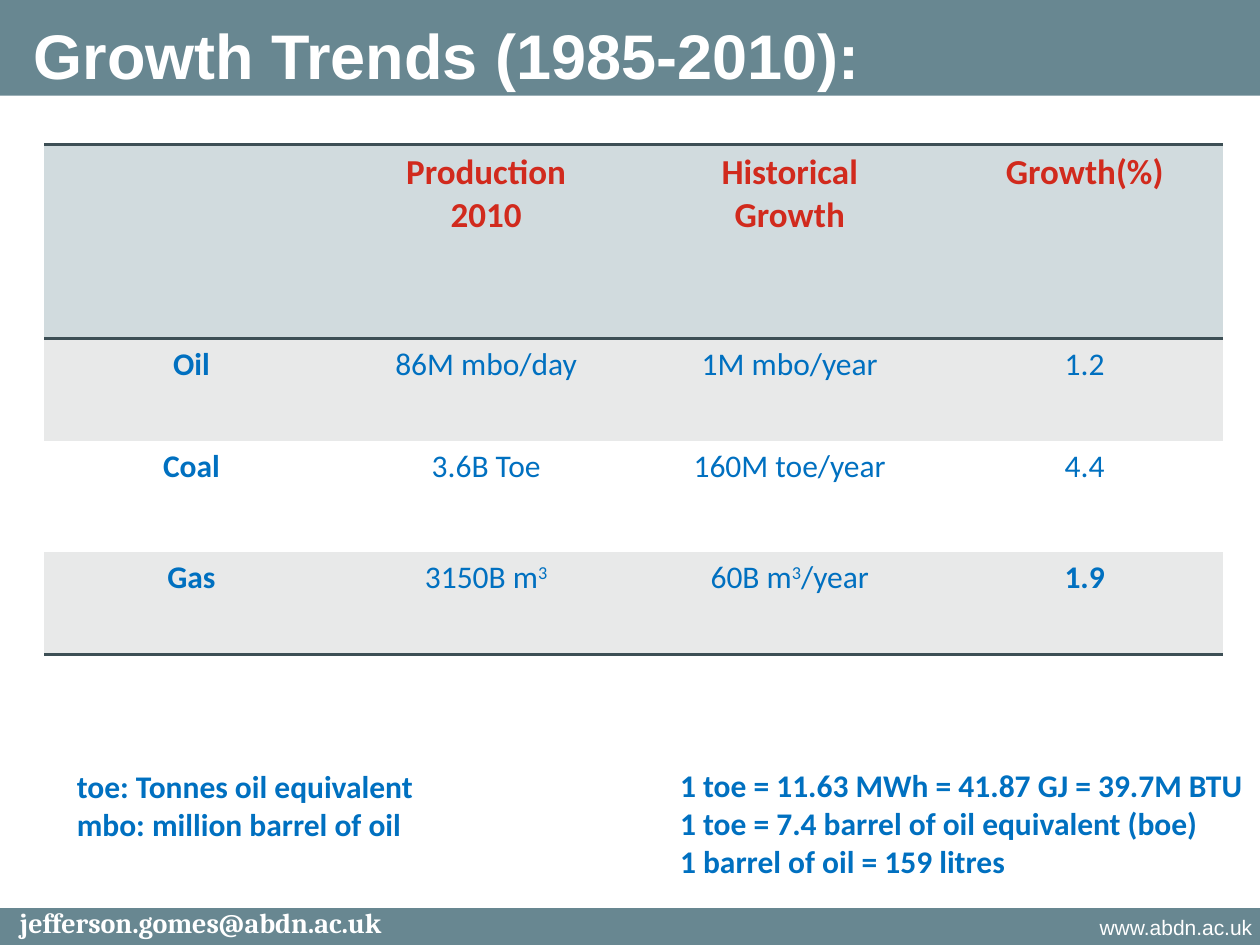
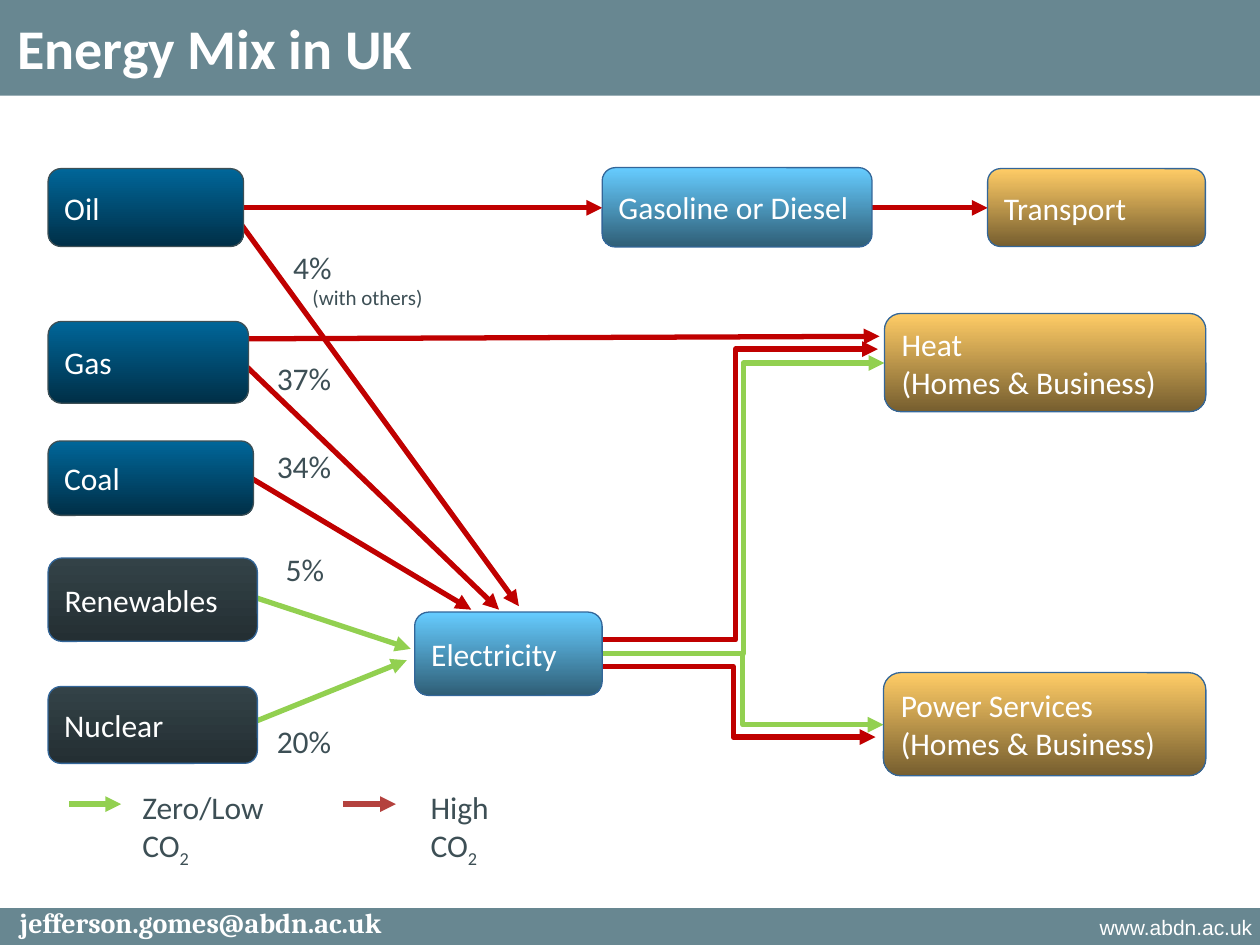
from dataclasses import dataclass
from typing import NamedTuple

from lxml import etree
from pptx import Presentation
from pptx import util as u
from pptx.dml.color import RGBColor
from pptx.enum import shapes, text
from pptx.oxml import ns
from pptx.slide import Slide

BAND, WHITE, SLATE, BLUE = "688791", "FFFFFF", "3D4F55", "0070C0"
HEAD, RED, GREY = "D1DBDE", "D12A1D", "E8E9E9"
HIGH, LOW, BRICK = "C00000", "92D050", "B4423E"
WIDE, TALL = 25.4, 19.05
LEFT, MID, RIGHT = text.PP_ALIGN.LEFT, text.PP_ALIGN.CENTER, text.PP_ALIGN.RIGHT


class Run(NamedTuple):
    words: str
    base: int = 0  # baseline shift in percent


class Area(NamedTuple):
    left: float
    top: float
    width: float
    height: float


class Look(NamedTuple):
    size: float
    ink: str
    face: str = "Calibri"
    bold: bool = False


class Tone(NamedTuple):
    top: str
    foot: str
    edge: str = "336699"


Line = str | list[Run]


@dataclass
class Label:
    lines: list[Line]
    area: Area
    look: Look
    side: text.PP_ALIGN = LEFT
    lead: float | None = None
    middle: bool = False


@dataclass
class Node:
    lines: list[Line]
    area: Area
    tone: Tone


@dataclass
class Flow:
    start: tuple[float, float]
    end: tuple[float, float]
    ink: str
    bent: bool = False


FUEL = Tone("006699", "002F47", SLATE)
CLEAN = Tone("334247", "242F33")
MADE = Tone("66CCFF", "2F5E76")
USE = Tone("FFCC66", "765E2F")
NOTE = Look(18, BLUE, bold=True)
BODY = Look(18, SLATE)


def rgb(code: str) -> RGBColor:
    return RGBColor.from_string(code)


def cm(area: Area) -> list[u.Length]:
    return [u.Cm(side) for side in area]


def write(frame, lines: list[Line], look: Look, side=LEFT, lead=None) -> None:
    """Fill a text frame, one paragraph for each line."""
    for i, line in enumerate(lines):
        para = frame.add_paragraph() if i else frame.paragraphs[0]
        para.alignment = side
        if lead:
            para.line_spacing = lead
        for part in [Run(line)] if isinstance(line, str) else line:
            run = para.add_run()
            run.text = part.words
            font = run.font
            font.size, font.name, font.bold = u.Pt(look.size), look.face, look.bold
            font.color.rgb = rgb(look.ink)
            if part.base:
                run._r.get_or_add_rPr().set("baseline", str(part.base * 1000))


def put(slide: Slide, label: Label) -> None:
    frame = slide.shapes.add_textbox(*cm(label.area)).text_frame
    frame.word_wrap = True
    if label.middle:
        frame.vertical_anchor = text.MSO_ANCHOR.MIDDLE
    write(frame, label.lines, label.look, label.side, label.lead)


def band(slide: Slide, area: Area) -> None:
    bar = slide.shapes.add_shape(shapes.MSO_SHAPE.RECTANGLE, *cm(area))
    bar.shadow.inherit = False
    bar.fill.solid()
    bar.fill.fore_color.rgb = rgb(BAND)
    bar.line.fill.background()


def node(slide: Slide, item: Node) -> None:
    box = slide.shapes.add_shape(shapes.MSO_SHAPE.ROUNDED_RECTANGLE, *cm(item.area))
    box.shadow.inherit = False
    box.fill.gradient()
    box.fill.gradient_angle = 270
    for stop, code in zip(box.fill.gradient_stops, item.tone):
        stop.color.rgb = rgb(code)
    box.line.color.rgb = rgb(item.tone.edge)
    box.line.width = u.Pt(0.75)
    box.text_frame.word_wrap = True
    box.text_frame.vertical_anchor = text.MSO_ANCHOR.MIDDLE
    write(box.text_frame, item.lines, Look(18, WHITE))


def arrow(slide: Slide, flow: Flow) -> None:
    kind = shapes.MSO_CONNECTOR.ELBOW if flow.bent else shapes.MSO_CONNECTOR.STRAIGHT
    link = slide.shapes.add_connector(kind, *map(u.Cm, flow.start + flow.end))
    link.line.color.rgb = rgb(flow.ink)
    link.line.width = u.Pt(3)
    props = link._element.spPr
    etree.SubElement(props.find(ns.qn("a:ln")), ns.qn("a:tailEnd"), type="triangle")
    etree.SubElement(props, ns.qn("a:effectLst"))


def rule(cell, sides: str) -> None:
    """Draw the named sides of a cell (T, B) and clear the others."""
    props = cell._tc.get_or_add_tcPr()
    for side in "LRTB":
        edge = etree.SubElement(props, ns.qn(f"a:ln{side}"))
        if side in sides:
            edge.set("w", str(u.Pt(2)))
            fill = etree.SubElement(edge, ns.qn("a:solidFill"))
            etree.SubElement(fill, ns.qn("a:srgbClr"), val=SLATE)
        else:
            etree.SubElement(edge, ns.qn("a:noFill"))


def base(deck, title: Label) -> Slide:
    """Add a slide with its bands, footers and title."""
    slide = deck.slides.add_slide(deck.slide_layouts[6])
    band(slide, Area(0, 18.31, WIDE, 0.74))
    band(slide, Area(0, 0, WIDE, 1.93))
    put(slide, Label(["www.abdn.ac.uk"], Area(18.9, 18.31, 6.6, 0.91),
                     Look(12, WHITE, "Arial"), RIGHT))
    put(slide, Label(["jefferson.gomes@abdn.ac.uk"], Area(0, 18.21, 8.1, 0.84),
                     Look(16, WHITE, "Cambria", True), MID, 0.9))
    put(slide, title)
    return slide


def trends(deck) -> None:
    slide = base(deck, Label(["Growth Trends (1985-2010):"], Area(0.43, 0.13, 19.3, 1.93),
                             Look(36, WHITE, "Arial", True), middle=True))
    cube = Run("3", 30)
    rows: list[list[list[Line]]] = [
        [[], ["Production", "2010"], ["Historical", "Growth"], ["Growth(%)"]],
        [["Oil"], ["86M mbo/day"], ["1M mbo/year"], ["1.2"]],
        [["Coal"], ["3.6B Toe"], ["160M toe/year"], ["4.4"]],
        [["Gas"], [[Run("3150B m"), cube]], [[Run("60B m"), cube, Run("/year")]], ["1.9"]],
    ]
    fills = [HEAD, GREY, WHITE, GREY]
    edges = ["TB", "T", "", "B"]
    wide = [5.94, 5.94, 6.3, 5.59]
    tall = [3.91, 2.06, 2.24, 2.06]
    area = Area(0.89, 2.92, sum(wide), sum(tall))
    grid = slide.shapes.add_table(len(rows), len(wide), *cm(area)).table
    grid.horz_banding = False
    for col, width in zip(grid.columns, wide):
        col.width = u.Cm(width)
    for r, row in enumerate(rows):
        grid.rows[r].height = u.Cm(tall[r])
        for c, lines in enumerate(row):
            cell = grid.cell(r, c)
            rule(cell, edges[r])
            cell.fill.solid()
            cell.fill.fore_color.rgb = rgb(fills[r])
            bold = c == 0 or lines == ["1.9"]
            look = Look(18, BLUE, bold=bold) if r else Look(20, RED, bold=True)
            write(cell.text_frame, lines, look, MID)
    put(slide, Label(["toe: Tonnes oil equivalent", "mbo: million barrel of oil"],
                     Area(1.3, 15.34, 7.39, 1.8), NOTE))
    put(slide, Label(["1 toe = 11.63 MWh = 41.87 GJ = 39.7M BTU",
                      "1 toe = 7.4 barrel of oil equivalent (boe)",
                      "1 barrel of oil = 159 litres"],
                     Area(13.46, 15.32, 11.99, 2.57), NOTE))


def energy(deck) -> None:
    slide = base(deck, Label(["Energy Mix in UK"], Area(0.1, 0.13, 8.56, 1.63),
                             Look(32, WHITE, bold=True), middle=True))
    flows = [
        Flow((12.14, 13.18), (17.81, 14.61), LOW, True),
        Flow((12.14, 13.18), (17.83, 7.32), LOW, True),
        Flow((1.4, 16.21), (2.44, 16.21), LOW),
        Flow((6.91, 16.21), (7.98, 16.21), BRICK),
        Flow((4.75, 4.37), (10.46, 12.22), HIGH),
        Flow((5, 6.83), (17.73, 6.78), HIGH),
        Flow((4.95, 7.37), (10.06, 12.29), HIGH),
        Flow((5.05, 9.63), (9.5, 12.29), HIGH),
        Flow((5.13, 12.04), (8.28, 13.08), LOW),
        Flow((5.18, 14.53), (8.2, 13.31), LOW),
        Flow((11.91, 13.44), (17.65, 14.86), HIGH, True),
        Flow((11.96, 12.9), (17.7, 7.04), HIGH, True),
        Flow((4.9, 4.19), (12.14, 4.19), HIGH),
        Flow((17.58, 4.19), (19.91, 4.19), HIGH),
    ]
    for flow in flows:
        arrow(slide, flow)

    shares = [("4%", 5.66, 4.88), ("37%", 5.33, 7.11), ("34%", 5.33, 8.89),
              ("5%", 5.51, 10.97), ("20%", 5.33, 14.43)]
    for share, left, top in shares:
        put(slide, Label([share], Area(left, top, 1.78, 1.02), BODY))
    put(slide, Label(["(with others)"], Area(6.05, 5.61, 2.84, 0.76), Look(12, SLATE)))
    for name, left, width in [("Zero/Low CO", 2.62, 3.61), ("High CO", 8.43, 2.59)]:
        put(slide, Label([[Run(name), Run("2", -25)]], Area(left, 15.77, width, 0.84), BODY))

    homes = "(Homes & Business)"
    nodes = [
        Node(["Oil"], Area(0.97, 3.4, 3.94, 1.57), FUEL),
        Node(["Gasoline or Diesel"], Area(12.14, 3.38, 5.44, 1.6), MADE),
        Node(["Transport"], Area(19.91, 3.4, 4.39, 1.57), USE),
        Node(["Gas"], Area(0.97, 6.48, 4.04, 1.65), FUEL),
        Node(["Coal"], Area(0.97, 8.89, 4.14, 1.5), FUEL),
        Node(["Renewables"], Area(0.97, 11.25, 4.22, 1.68), CLEAN),
        Node(["Nuclear"], Area(0.97, 13.84, 4.22, 1.55), CLEAN),
        Node(["Heat", homes], Area(17.83, 6.32, 6.48, 1.98), USE),
        Node(["Power Services", homes], Area(17.81, 13.56, 6.5, 2.08), USE),
        Node(["Electricity"], Area(8.36, 12.34, 3.78, 1.68), MADE),
    ]
    for item in nodes:
        node(slide, item)


def main() -> None:
    deck = Presentation()
    deck.slide_width, deck.slide_height = u.Cm(WIDE), u.Cm(TALL)
    trends(deck)
    energy(deck)
    deck.save("out.pptx")


if __name__ == "__main__":
    main()
